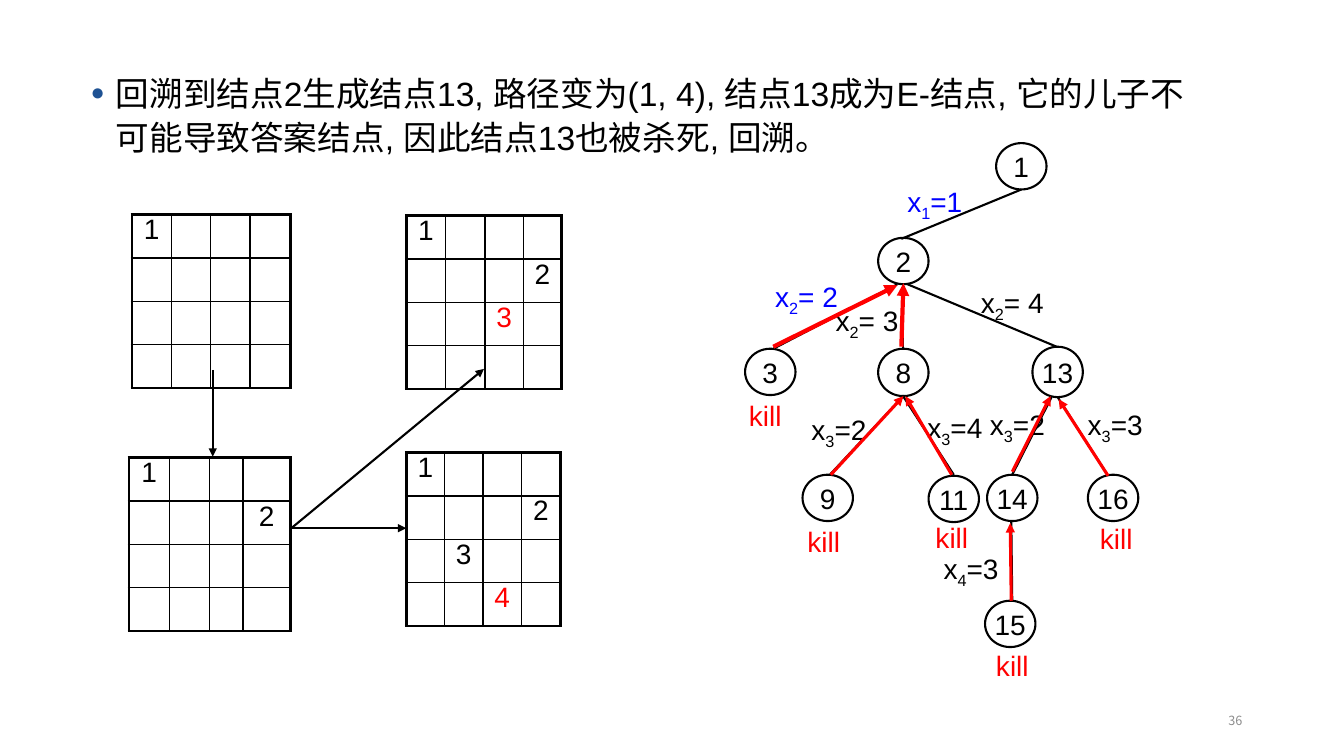
"""Builds the four-queens backtracking slide: boards on the left, search tree on the right."""
import pptx
import pptx.dml.color
import pptx.enum.shapes
import pptx.enum.text
import pptx.oxml
import pptx.oxml.ns
import pptx.util

PX = 9144
BLACK, RED, BLUE, WHITE = "000000", "FF0000", "0000FF", "FFFFFF"
hue = pptx.dml.color.RGBColor.from_string
align = pptx.enum.text.PP_ALIGN
middle = pptx.enum.text.MSO_ANCHOR.MIDDLE
shapes = pptx.enum.shapes
SPACE = pptx.oxml.ns.nsdecls("a")


def write(frame, parts, color=BLACK, size=20, side=align.LEFT, lead=1.0, face="Arial"):
    para = frame.paragraphs[0]
    para.alignment = side
    para.line_spacing = lead
    para.space_before = pptx.util.Pt(0)
    for spot, part in enumerate(parts):
        run = para.add_run()
        run.text = part
        run.font.name = face
        run.font.size = pptx.util.Pt(size)
        run.font.color.rgb = hue(color)
        if spot == 1:
            run.font._element.set("baseline", "-25000")


def link(ends, color, width, arrow):
    line = tree.add_connector(shapes.MSO_CONNECTOR.STRAIGHT, *[n * PX for n in ends])
    line.line.color.rgb = hue(color)
    line.line.width = pptx.util.Pt(width)
    if arrow:
        tip = pptx.oxml.parse_xml(f'<a:tailEnd {SPACE} type="triangle"/>')
        line.get_or_add_ln().append(tip)
    line._element.spPr.append(pptx.oxml.parse_xml(f"<a:effectLst {SPACE}/>"))


deck = pptx.Presentation()
deck.slide_width, deck.slide_height = 1333 * PX, 750 * PX
slide = deck.slides.add_slide(deck.slide_layouts[1])
tree = slide.shapes
title = tree.title._element
title.getparent().remove(title)

body = slide.placeholders[1]
body.left, body.top, body.width, body.height = 80 * PX, 63 * PX, 1127 * PX, 99 * PX
body.text_frame.auto_size = pptx.enum.text.MSO_AUTO_SIZE.NONE
props = body.text_frame.paragraphs[0]._p.get_or_add_pPr()
props.set("marL", str(25 * PX))
props.set("indent", str(-25 * PX))
for mark in (
    f'<a:buClr {SPACE}><a:srgbClr val="1E5293"/></a:buClr>',
    f'<a:buSzPct {SPACE} val="70000"/>',
    f'<a:buChar {SPACE} char="●"/>',
):
    props.append(pptx.oxml.parse_xml(mark))
write(
    body.text_frame,
    ["回溯到结点2生成结点13, 路径变为(1, 4), 结点13成为E-结点, "
     "它的儿子不可能导致答案结点, 因此结点13也被杀死, 回溯。"],
    size=24, lead=1.1,
)

boards = [
    (131, 213, [39, 39, 39, 40], {(0, 0): "1"}, None, False),
    (128, 454, [40, 40, 33, 47], {(0, 0): "1", (1, 3): "2"}, None, False),
    (403, 449, [38, 38, 38, 39],
     {(0, 0): "1", (1, 3): "2", (2, 1): "3", (3, 2): "4"}, (3, 2), True),
    (403, 214, [39, 39, 38, 38], {(0, 0): "1", (1, 3): "2", (2, 2): "3"}, (2, 2), True),
]
for left, top, cols, queens, last, solid in boards:
    grid = tree.add_table(4, 4, left * PX, top * PX, sum(cols) * PX, 172 * PX).table
    grid.first_row = grid.horz_banding = False
    for col, width in enumerate(cols):
        grid.columns[col].width = width * PX
    for row in range(4):
        grid.rows[row].height = 43 * PX
        for col in range(4):
            cell = grid.cell(row, col)
            if solid:
                cell.fill.solid()
                cell.fill.fore_color.rgb = hue(WHITE)
            else:
                cell.fill.background()
            edges = {"L": col == 0, "R": col == 3, "T": row == 0, "B": row == 3}
            for spot, (edge, outer) in enumerate(edges.items()):
                width = pptx.util.Pt(2.25 if outer else 1)
                rule = pptx.oxml.parse_xml(
                    f'<a:ln{edge} {SPACE} w="{width}"><a:solidFill>'
                    f'<a:srgbClr val="{BLACK}"/></a:solidFill></a:ln{edge}>'
                )
                cell._tc.get_or_add_tcPr().insert(spot, rule)
            if (row, col) in queens:
                color = RED if (row, col) == last else BLACK
                write(cell.text_frame, [queens[row, col]], color, side=align.CENTER, lead=0.8)

for ends in [(211, 367, 211, 453), (288, 524, 403, 524), (289, 524, 480, 366)]:
    link(ends, BLACK, 1.5, True)

branches = [
    (1013, 188, 894, 237), (890, 282, 767, 346), (896, 281, 896, 346),
    (900, 282, 1048, 344), (895, 394, 823, 471), (895, 392, 946, 471),
    (1043, 394, 1004, 471), (1049, 394, 1099, 472), (1003, 517, 1004, 597),
]
for ends in branches:
    link(ends, BLACK, 1.5, False)

nodes = [
    ("1", 988, 142, 46), ("2", 871, 236, 46), ("3", 739, 346, 46),
    ("8", 871, 346, 47), ("13", 1024, 344, 50), ("9", 796, 471, 46),
    ("11", 921, 472, 46), ("14", 979, 471, 46), ("16", 1079, 471, 46),
    ("15", 977, 596, 46),
]
for name, left, top, tall in nodes:
    node = tree.add_shape(shapes.MSO_SHAPE.OVAL, left * PX, top * PX, 50 * PX, tall * PX)
    node.shadow.inherit = False
    node.fill.background()
    node.line.color.rgb = hue(BLACK)
    node.line.width = pptx.util.Pt(1.5)
    node.text_frame.word_wrap = False
    node.text_frame.vertical_anchor = middle
    write(node.text_frame, [name], side=align.CENTER)

labels = [
    (890, 178, 88, 44, ["x", "1", "=1"], BLUE, 1.0),
    (759, 272, 94, 44, ["x", "2", "= 2"], BLUE, 1.0),
    (819, 296, 94, 44, ["x", "2", "= 3"], BLACK, 1.0),
    (963, 278, 96, 44, ["x", "2", "= 4"], BLACK, 1.0),
    (795, 404, 90, 44, ["x", "3", "=2"], BLACK, 1.0),
    (910, 402, 94, 44, ["x", "3", "=4"], BLACK, 1.0),
    (972, 399, 90, 44, ["x", "3", "=2"], BLACK, 1.0),
    (1069, 399, 94, 44, ["x", "3", "=3"], BLACK, 1.0),
    (926, 549, 88, 34, ["x", "4", "=3"], BLACK, 0.7),
]
kills = [(733, 397), (791, 522), (918, 518), (1081, 519), (978, 645)]
labels += [(left, top, 72, 37, ["kill"], RED, 0.8) for left, top in kills]
for left, top, wide, tall, parts, color, lead in labels:
    box = tree.add_textbox(left * PX, top * PX, wide * PX, tall * PX)
    box.text_frame.word_wrap = True
    write(box.text_frame, parts, color, lead=lead)

returns = [
    (767, 344, 890, 283, 3), (894, 344, 896, 281, 3), (824, 471, 896, 393, 2.25),
    (944, 471, 898, 393, 2.25), (1003, 596, 1002, 519, 2.25),
    (1004, 468, 1042, 393, 2.25), (1099, 472, 1050, 396, 2.25),
]
for *ends, width in returns:
    link(ends, RED, width, True)

page = tree.add_textbox(942 * PX, 695 * PX, 300 * PX, 40 * PX)
page.text_frame.word_wrap = True
page.text_frame.vertical_anchor = middle
write(page.text_frame, ["36"], "8C8C8C", 9, align.RIGHT, face="Noto Sans CJK SC")

deck.save("out.pptx")
